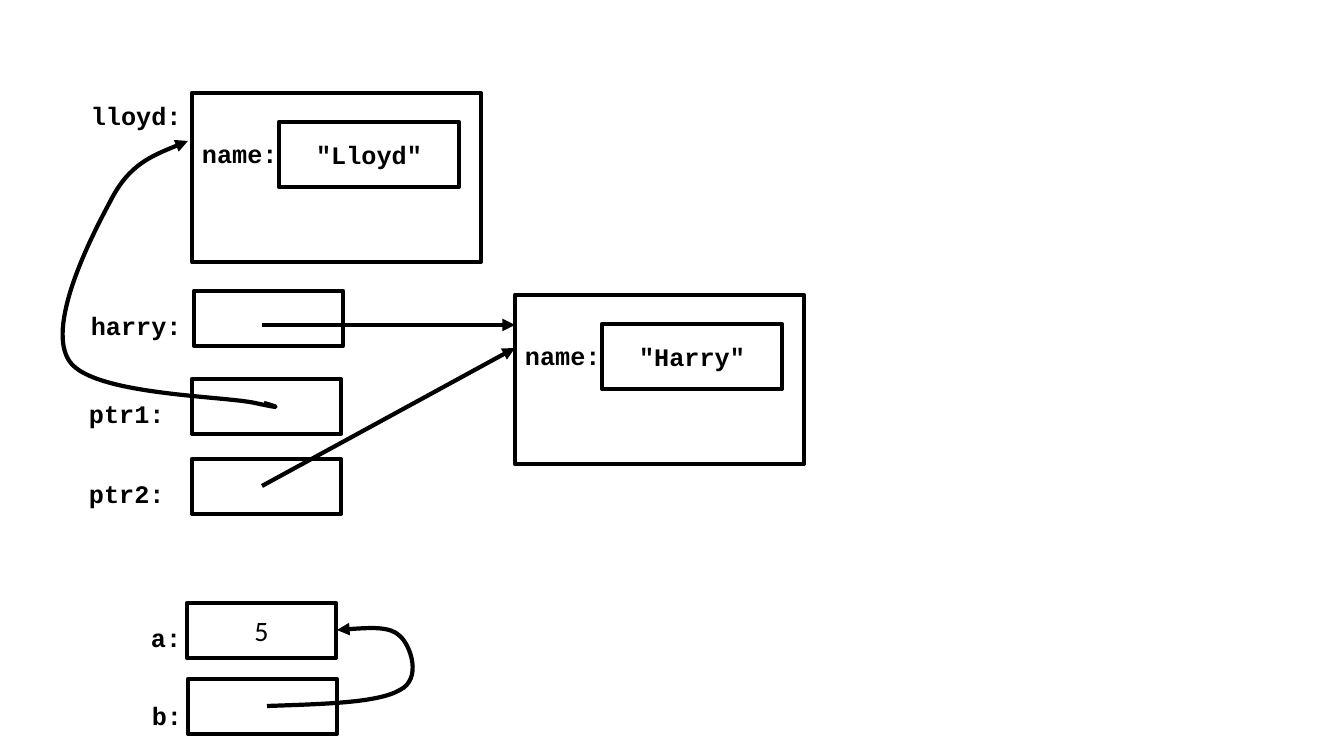
"""Draw a memory diagram of objects, references and pointers."""
from pptx import Presentation, util as u
from pptx.dml.color import RGBColor
from pptx.enum import shapes as s, text as t
from pptx.oxml import parse_xml
from pptx.oxml.ns import nsdecls, qn

OBJECTS = [("\"Lloyd\"", 192, 93), ("\"Harry\"", 515, 295)]
VARIABLES = [
    ("harry:", 81, 305, "", 194, 291),
    ("ptr1:", 79, 393, "", 192, 379),
    ("ptr2:", 79, 473, "", 192, 459),
    ("a:", 141, 617, "5", 187, 603),
    ("b:", 142, 695, "", 188, 679),
]
OBJECT_LABEL = ("lloyd:", 81, 95)
ARROWS = [((262, 325), (515, 325)), ((262, 486), (515, 348))]
CURVES = [
    ((264, 403), [
        ((275, 406), (287, 410), (255, 403)),
        ((223, 396), (94, 395), (70, 362)),
        ((45, 328), (90, 239), (110, 202)),
        ((129, 164), (159, 153), (188, 141)),
    ]),
    ((267, 706), [
        ((323, 704), (378, 703), (400, 690)),
        ((422, 679), (411, 646), (400, 636)),
        ((390, 626), (363, 628), (337, 630)),
    ]),
]

COLORS = {"ink": "000000", "paper": "FFFFFF"}
CODE = {"name": "Courier New", "size": u.Pt(18), "bold": True}
NUMBER = {"name": "Calibri", "size": u.Pt(20), "bold": False}
LABEL_FRAME = {"word_wrap": False, "auto_size": t.MSO_AUTO_SIZE.SHAPE_TO_FIT_TEXT}
OBJECT_SIZE, FIELD_SIZE, VARIABLE_SIZE = (289, 169), (180, 65), (149, 55)
FIELD_OFFSET, FIELD_LABEL_DROP = (87, 29), 40
LABEL_HEIGHT, LABEL_PADDING, CHAR_WIDTH = 40, 20, 15.2


def px(*lengths):
    return [u.Emu(round(length * 914400 / 100.8)) for length in lengths]


def apply(target, values):
    for key, value in values.items():
        setattr(target, key, value)


def write(frame, words, style):
    run = frame.paragraphs[0].add_run()
    run.text = words
    apply(run.font, style)
    run.font.color.rgb = RGBColor.from_string(COLORS["ink"])


def outline(line):
    line.color.rgb = RGBColor.from_string(COLORS["ink"])
    line.width = u.Pt(3)


def add_head(line):
    outline(line)
    line._get_or_add_ln().append(parse_xml(f'<a:tailEnd {nsdecls("a")} type="triangle"/>'))


def add_label(slide, words, left, top):
    width = LABEL_PADDING + CHAR_WIDTH * len(words)
    label = slide.shapes.add_textbox(*px(left, top, width, LABEL_HEIGHT))
    apply(label.text_frame, LABEL_FRAME)
    write(label.text_frame, words, CODE)


def add_box(slide, left, top, size, words="", style=CODE):
    box = slide.shapes.add_shape(s.MSO_SHAPE.RECTANGLE, *px(left, top, *size))
    box.shadow.inherit = False
    box.fill.background()
    outline(box.line)
    if words:
        box.text_frame.vertical_anchor = t.MSO_ANCHOR.MIDDLE
        box.text_frame.paragraphs[0].alignment = t.PP_ALIGN.CENTER
        write(box.text_frame, words, style)


def add_object(slide, value, left, top):
    add_label(slide, "name:", left, top + FIELD_LABEL_DROP)
    add_box(slide, left, top, OBJECT_SIZE)
    add_box(slide, left + FIELD_OFFSET[0], top + FIELD_OFFSET[1], FIELD_SIZE, value)


def add_arrow(slide, start, end):
    arrow = slide.shapes.add_connector(s.MSO_CONNECTOR.STRAIGHT, *px(*start, *end))
    add_head(arrow.line)
    arrow._element.spPr.append(parse_xml(f'<a:effectLst {nsdecls("a")}/>'))


def add_curve(slide, start, segments):
    builder = slide.shapes.build_freeform(*px(*start))
    builder.add_line_segments([px(*segment[-1]) for segment in segments], close=False)
    curve = builder.convert_to_shape()
    curve.shadow.inherit = False
    curve.fill.background()
    add_head(curve.line)
    straights = list(curve._element.iter(qn("a:lnTo")))
    for straight, segment in zip(straights, segments):
        points = [px(*point) for point in segment]
        marks = "".join(f'<a:pt x="{x - curve.left}" y="{y - curve.top}"/>' for x, y in points)
        bend = parse_xml(f'<a:cubicBezTo {nsdecls("a")}>{marks}</a:cubicBezTo>')
        straight.getparent().replace(straight, bend)


def main():
    deck = Presentation()
    deck.slide_width, deck.slide_height = px(1344, 756)
    slide = deck.slides.add_slide(deck.slide_layouts[6])
    slide.background.fill.solid()
    slide.background.fill.fore_color.rgb = RGBColor.from_string(COLORS["paper"])
    add_label(slide, *OBJECT_LABEL)
    for value, left, top in OBJECTS:
        add_object(slide, value, left, top)
    for name, label_left, label_top, value, left, top in VARIABLES:
        add_label(slide, name, label_left, label_top)
        add_box(slide, left, top, VARIABLE_SIZE, value, NUMBER)
    for start, end in ARROWS:
        add_arrow(slide, start, end)
    for start, segments in CURVES:
        add_curve(slide, start, segments)
    deck.save("out.pptx")


if __name__ == "__main__":
    main()
